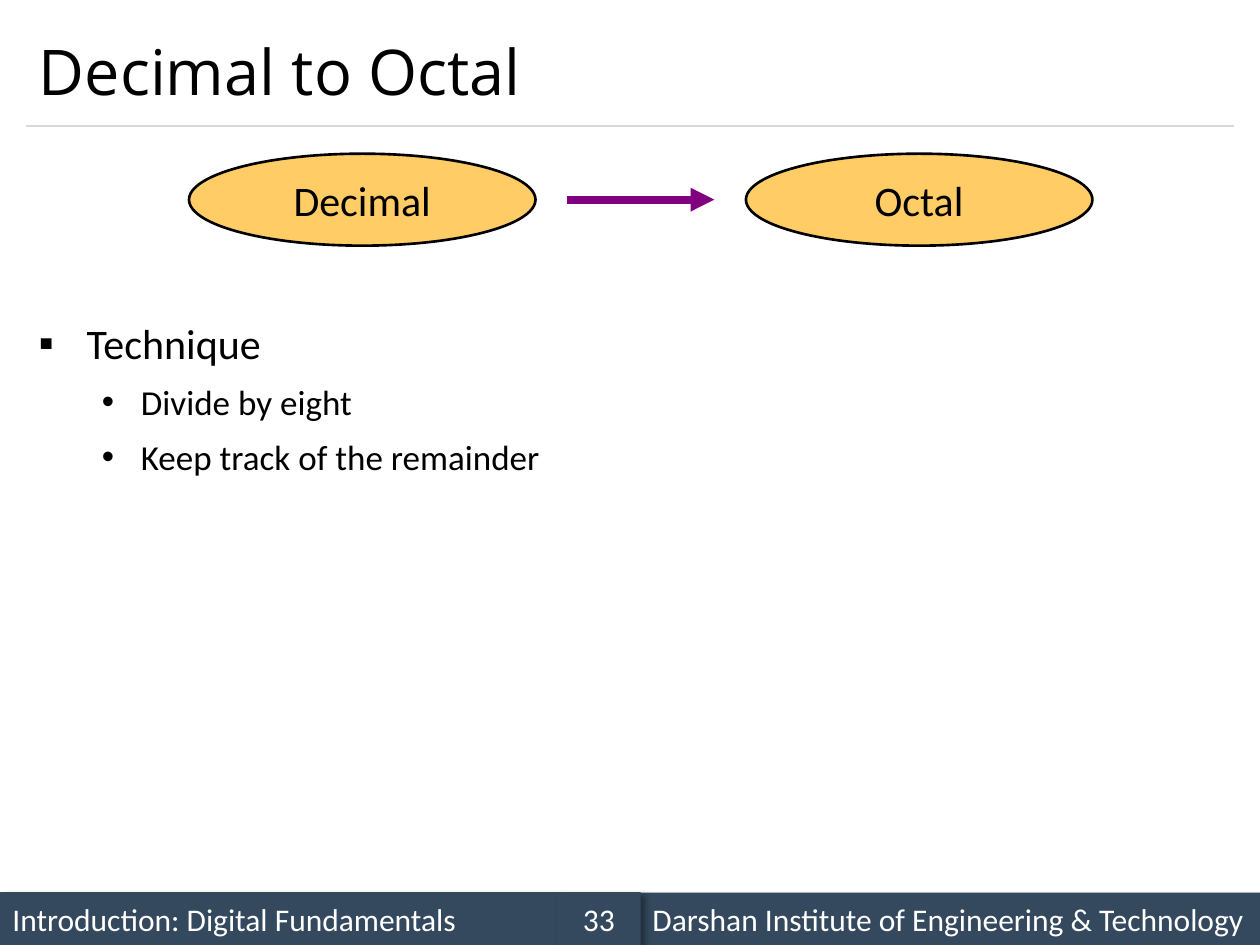
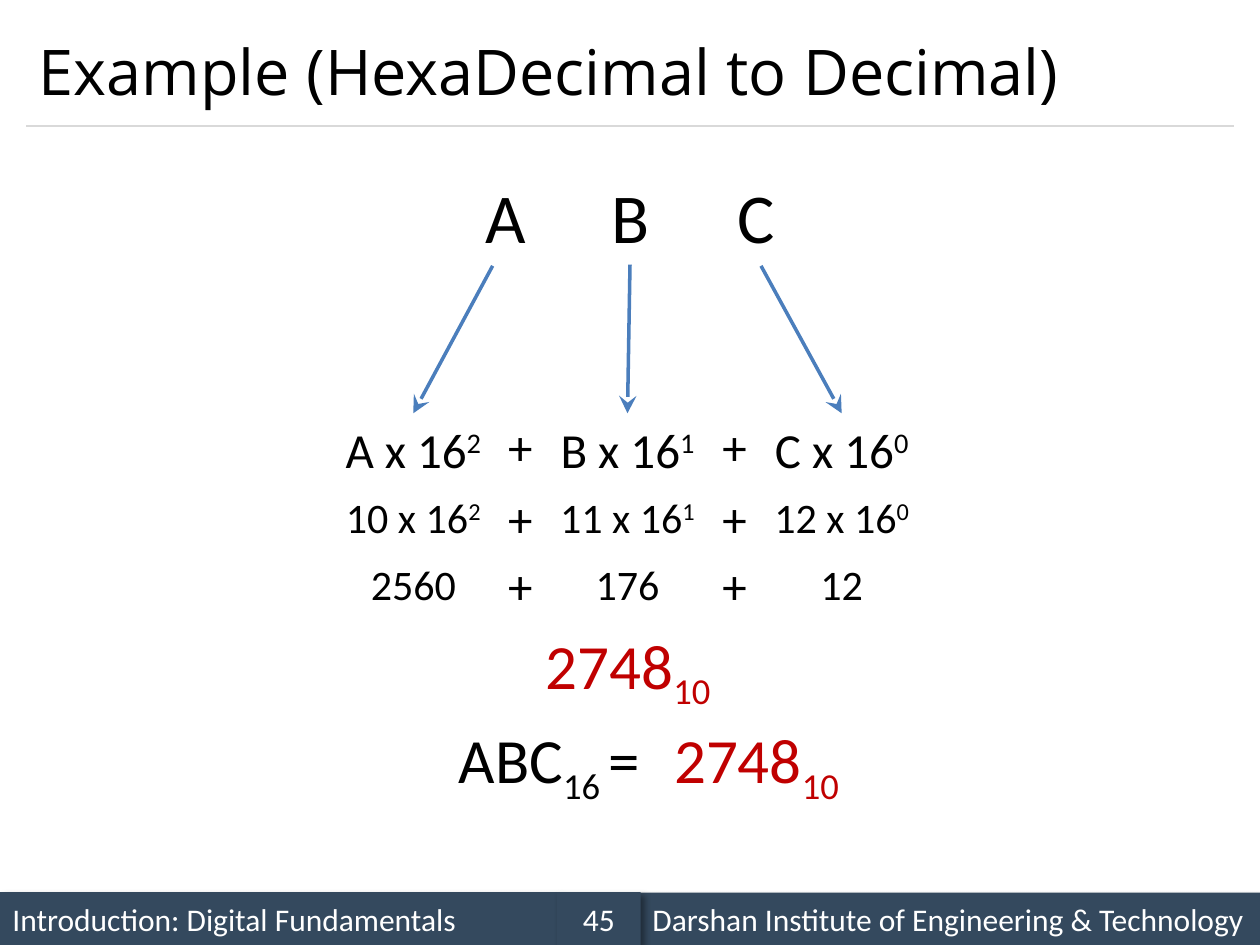
import lxml.etree
import pptx
import pptx.dml.color
import pptx.enum.shapes
import pptx.enum.text
import pptx.oxml.ns
import pptx.util

# Shared look
BODY_FONT, TITLE_FONT = "Calibri", "Open Sans"
BLACK, WHITE, RED = "000000", "FFFFFF", "C00000"
BAND, RULE, BUBBLE = "34495E", "D9D9D9", "FFCC66"
PURPLE, BLUE = "800080", "4B7EBC"
SUPER, SUB = 30, -25
SUBJECT = "Introduction: Digital Fundamentals"
INSTITUTE = "Darshan Institute of Engineering & Technology"

# The grid: 100 columns by 75 rows of square cells
SLIDE_WIDTH, SLIDE_HEIGHT = pptx.util.Inches(10), pptx.util.Inches(7.5)
COLUMNS, ROWS = 100, 75
MARGIN, CONTENT_WIDTH = 2.1, 95.8

SHAPE = pptx.enum.shapes.MSO_SHAPE
ALIGN = pptx.enum.text.PP_ALIGN
ANCHOR = pptx.enum.text.MSO_ANCHOR


def col(n):
    return round(SLIDE_WIDTH * n / COLUMNS)


def row(n):
    return round(SLIDE_HEIGHT * n / ROWS)


def place(left, top, width, height):
    return col(left), row(top), col(width), row(height)


def colour(value):
    return pptx.dml.color.RGBColor.from_string(value)


def add_xml(parent, tag, **attributes):
    child = lxml.etree.SubElement(parent, pptx.oxml.ns.qn(tag))
    for name, value in attributes.items():
        child.set(name, str(value))
    return child


def add_run(paragraph, text, size, ink=BLACK, font=BODY_FONT, baseline=0):
    run = paragraph.add_run()
    run.text = text
    run.font.size = pptx.util.Pt(size)
    run.font.name = font
    run.font.color.rgb = colour(ink)
    if baseline:
        run.font._element.set("baseline", str(baseline * 1000))


def write(shape, runs, size, ink=BLACK, font=BODY_FONT, align=ALIGN.CENTER,
          anchor=ANCHOR.MIDDLE, wrap=True):
    """Fill a shape with one paragraph; runs are (text, baseline) pairs."""
    frame = shape.text_frame
    frame.word_wrap = wrap
    frame.vertical_anchor = anchor
    paragraph = frame.paragraphs[0]
    paragraph.alignment = align
    for text, baseline in runs:
        add_run(paragraph, text, size, ink, font, baseline)


def add_label(slide, box, runs, size, ink=BLACK):
    label = slide.shapes.add_textbox(*place(*box))
    write(label, runs, size, ink, anchor=ANCHOR.TOP)
    return label


def add_tab_stops(label, stops):
    properties = label.text_frame.paragraphs[0]._p.get_or_add_pPr()
    tab_list = add_xml(properties, "a:tabLst")
    for stop in stops:
        add_xml(tab_list, "a:tab", pos=col(stop), algn="l")


def add_line(slide, start, end, ink, weight, head=None, head_size="med"):
    line = slide.shapes.add_connector(
        pptx.enum.shapes.MSO_CONNECTOR.STRAIGHT,
        col(start[0]), row(start[1]), col(end[0]), row(end[1]))
    line.line.color.rgb = colour(ink)
    line.line.width = pptx.util.Pt(weight)
    if head:
        add_xml(line.line._get_or_add_ln(), "a:tailEnd",
                type=head, w=head_size, len=head_size)
    add_xml(line._element.spPr, "a:effectLst")
    return line


def add_filled(slide, preset, box, fill):
    shape = slide.shapes.add_shape(preset, *place(*box))
    shape.shadow.inherit = False
    shape.fill.solid()
    shape.fill.fore_color.rgb = colour(fill)
    shape.line.fill.background()
    return shape


def add_band(slide, box, text, align):
    band = add_filled(slide, SHAPE.RECTANGLE, box, BAND)
    effects = band._element.spPr.find(pptx.oxml.ns.qn("a:effectLst"))
    shadow = add_xml(effects, "a:outerShdw", blurRad=pptx.util.Pt(4),
                     dist=pptx.util.Pt(3), dir=45 * 60000, algn="tl", rotWithShape=0)
    black = add_xml(shadow, "a:srgbClr", val=BLACK)
    add_xml(black, "a:alpha", val=40000)
    write(band, [(text, 0)], 18, WHITE, align=align)


def add_page(deck, title, number):
    """A blank slide with the shared title, rule and footer bands."""
    slide = deck.slides.add_slide(deck.slide_layouts[6])
    add_band(slide, (0, 70.8, 44.2, 4.2), SUBJECT, ALIGN.LEFT)
    add_line(slide, (MARGIN, 10), (MARGIN + CONTENT_WIDTH, 10), RULE, 0.75)
    add_band(slide, (50.8, 70.85, 49.2, 4.2), INSTITUTE, ALIGN.LEFT)
    add_band(slide, (44.2, 70.8, 6.65, 4.2), number, ALIGN.CENTER)
    heading = slide.shapes.add_textbox(*place(MARGIN, 1.2, CONTENT_WIDTH, 8.8))
    write(heading, [(title, 0)], 36, font=TITLE_FONT, align=ALIGN.LEFT)
    return slide


def add_bullets(slide, box, items):
    """Items are (level, text); each level has its own mark, indent and size."""
    levels = [("▪", BODY_FONT, 0.38, 0.38, 24), ("•", "Arial", 0.81, 0.31, 20)]
    frame = slide.shapes.add_textbox(*place(*box)).text_frame
    frame.word_wrap = True
    for index, (level, text) in enumerate(items):
        mark, mark_font, margin, hanging, size = levels[level]
        paragraph = frame.add_paragraph() if index else frame.paragraphs[0]
        paragraph.level = level
        paragraph.line_spacing = 1.14
        if index:
            paragraph.space_before = pptx.util.Pt(size * 0.2)
        properties = paragraph._p.get_or_add_pPr()
        properties.set("marL", str(pptx.util.Inches(margin)))
        properties.set("indent", str(-pptx.util.Inches(hanging)))
        add_xml(properties, "a:buFont", typeface=mark_font)
        add_xml(properties, "a:buChar", char=mark)
        add_run(paragraph, text, size)


def add_bubble(slide, left, text):
    bubble = add_filled(slide, SHAPE.OVAL, (left, 12.2, 27.5, 7.3), BUBBLE)
    bubble.line.color.rgb = colour(BLACK)
    bubble.line.width = pptx.util.Pt(1.5)
    write(bubble, [(text, 0)], 24, wrap=False)


def build_technique(deck):
    slide = add_page(deck, "Decimal to Octal", "33")
    add_bullets(slide, (MARGIN, 24.15, CONTENT_WIDTH, 45),
                [(0, "Technique"), (1, "Divide by eight"),
                 (1, "Keep track of the remainder")])
    add_bubble(slide, 15, "Decimal")
    add_bubble(slide, 59.2, "Octal")
    add_line(slide, (45, 15.85), (56.7, 15.85), PURPLE, 4.5, "triangle")


def build_example(deck):
    slide = add_page(deck, "Example (HexaDecimal to Decimal)", "45")
    digits = add_label(slide, (MARGIN, 13.3, CONTENT_WIDTH, 7.7), [("A\tB\tC", 0)], 40)
    add_tab_stops(digits, (10, 20))

    # Sum written in three steps: terms in columns, plus signs between them
    first_centre, pitch, term_width, plus_width = 32.8, 17, 13.5, 4.1
    steps = [(32.8, 5.7, 28, ("A x 16", "B x 16", "C x 16"), True),
             (38.5, 5, 24, ("10 x 16", "11 x 16", "12 x 16"), True),
             (43.8, 5, 24, ("2560", "176", "12"), False)]
    powers = "210"
    top_terms = []
    for top, height, size, terms, has_power in steps:
        for index, term in enumerate(terms):
            centre = first_centre + index * pitch
            runs = [(term, 0)]
            if has_power:
                runs.append((powers[index], SUPER))
            label = add_label(slide, (centre - term_width / 2, top, term_width, height),
                              runs, size)
            if top == steps[0][0]:
                top_terms.append(label)
            if index:
                plus_left = centre - pitch / 2 - plus_width / 2
                add_label(slide, (plus_left, top - 0.2, plus_width, 5.7), [("+", 0)], 28)

    # Arrows from each digit to its term
    for index, digit_column in enumerate((39.1, 50, 60.4)):
        arrow = add_line(slide, (digit_column, 21.1),
                         (first_centre + index * pitch, 32.8), BLUE, 2, "stealth", "lg")
        arrow.end_connect(top_terms[index], 0)
        if index == 1:
            arrow.begin_connect(digits, 2)

    # Result
    total = [("2748", 0), ("10", SUB)]
    add_label(slide, (41.7, 49.2, 16.3, 7.1), total, 36, RED)
    add_label(slide, (34.7, 56.7, 17.8, 7.1), [("ABC", 0), ("16 ", SUB), ("=", 0)], 36)
    add_label(slide, (51.7, 56.7, 16.7, 7.1), total, 36, RED)


def main():
    deck = pptx.Presentation()
    deck.slide_width, deck.slide_height = SLIDE_WIDTH, SLIDE_HEIGHT
    build_technique(deck)
    build_example(deck)
    deck.save("out.pptx")


if __name__ == "__main__":
    main()
